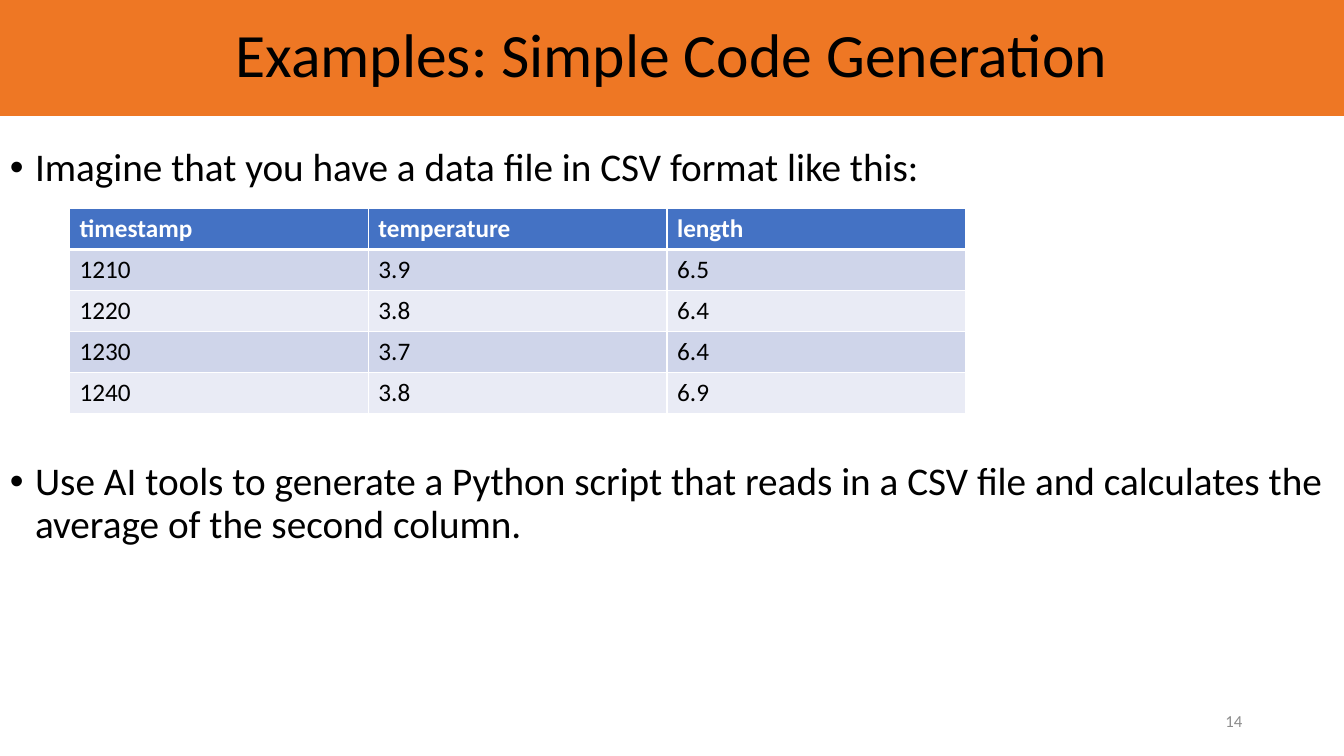
import pptx
import pptx.dml.color
import pptx.enum.shapes
import pptx.enum.text
import pptx.oxml
import pptx.oxml.ns
import pptx.util
from pptx.util import Inches

RGBColor = pptx.dml.color.RGBColor
ALIGN = pptx.enum.text.PP_ALIGN
MIDDLE = pptx.enum.text.MSO_ANCHOR.MIDDLE

ORANGE = RGBColor(0xEE, 0x77, 0x24)
BLUE = RGBColor(0x44, 0x72, 0xC4)
BAND_DARK = RGBColor(0xCF, 0xD5, 0xEA)
BAND_LIGHT = RGBColor(0xE9, 0xEB, 0xF5)
BLACK = RGBColor(0, 0, 0)
WHITE = RGBColor(0xFF, 0xFF, 0xFF)
GRAY = RGBColor(0x8C, 0x8C, 0x8C)


def write(paragraph, text, size, color, bold=False, **layout):
    run = paragraph.add_run()
    run.text = text
    font_format = {"name": "Calibri", "size": pptx.util.Pt(size), "bold": bold}
    for key, value in font_format.items():
        setattr(run.font, key, value)
    run.font.color.rgb = color
    for key, value in layout.items():
        setattr(paragraph, key, value)


def add_border(cell, side, points):
    cell._tc.get_or_add_tcPr().append(pptx.oxml.parse_xml(
        f'<a:{side} {pptx.oxml.ns.nsdecls("a")} w="{pptx.util.Pt(points)}">'
        f'<a:solidFill><a:srgbClr val="{WHITE}"/></a:solidFill></a:{side}>'))


deck = pptx.Presentation()
deck.slide_width, deck.slide_height = Inches(13.33), Inches(7.5)
slide = deck.slides.add_slide(deck.slide_layouts[6])

# Title band
title = slide.shapes.add_shape(pptx.enum.shapes.MSO_SHAPE.RECTANGLE,
                               0, 0, deck.slide_width, Inches(1.15))
title.shadow.inherit = False
title.fill.solid()
title.fill.fore_color.rgb = ORANGE
title.line.fill.background()
title.text_frame.vertical_anchor = MIDDLE
write(title.text_frame.paragraphs[0], "Examples: Simple Code Generation", 44, BLACK,
      alignment=ALIGN.CENTER, line_spacing=0.9)

# Bullets, with room for the table after the first
body = slide.shapes.add_textbox(0, Inches(1.42), deck.slide_width, Inches(5.36)).text_frame
body.word_wrap = True
bullets = [
    ("Imagine that you have a data file in CSV format like this:", 184),
    ("Use AI tools to generate a Python script that reads in a CSV file "
     "and calculates the average of the second column.", 0),
]
for index, (text, gap_after) in enumerate(bullets):
    bullet = body.add_paragraph() if index else body.paragraphs[0]
    write(bullet, text, 28, BLACK, line_spacing=0.9,
          space_before=pptx.util.Pt(10), space_after=pptx.util.Pt(gap_after))
    properties = bullet._p.get_or_add_pPr()
    properties.set("marL", str(Inches(0.25)))
    properties.set("indent", str(Inches(-0.25)))
    for tag in (f'<a:buFont {pptx.oxml.ns.nsdecls("a")} typeface="Arial"/>',
                f'<a:buChar {pptx.oxml.ns.nsdecls("a")} char="•"/>'):
        properties.append(pptx.oxml.parse_xml(tag))

# Data table
readings = [
    ("timestamp", "temperature", "length"),
    ("1210", "3.9", "6.5"),
    ("1220", "3.8", "6.4"),
    ("1230", "3.7", "6.4"),
    ("1240", "3.8", "6.9"),
]
table = slide.shapes.add_table(len(readings), len(readings[0]), Inches(0.69), Inches(2.07),
                               Inches(8.89), Inches(2.03)).table
for row, values in enumerate(readings):
    header = row == 0
    fill = BLUE if header else BAND_DARK if row % 2 else BAND_LIGHT
    for column, value in enumerate(values):
        cell = table.cell(row, column)
        write(cell.text_frame.paragraphs[0], value, 18, WHITE if header else BLACK, bold=header)
        for side in ("lnL", "lnR", "lnT", "lnB"):
            thick = (header and side == "lnB") or (row == 1 and side == "lnT")
            add_border(cell, side, 3 if thick else 1)
        cell.fill.solid()
        cell.fill.fore_color.rgb = fill

# Slide number
number = slide.shapes.add_textbox(Inches(9.42), Inches(6.95), Inches(3), Inches(0.4)).text_frame
number.word_wrap = True
number.vertical_anchor = MIDDLE
write(number.paragraphs[0], "14", 12, GRAY, alignment=ALIGN.RIGHT)

deck.save("out.pptx")
